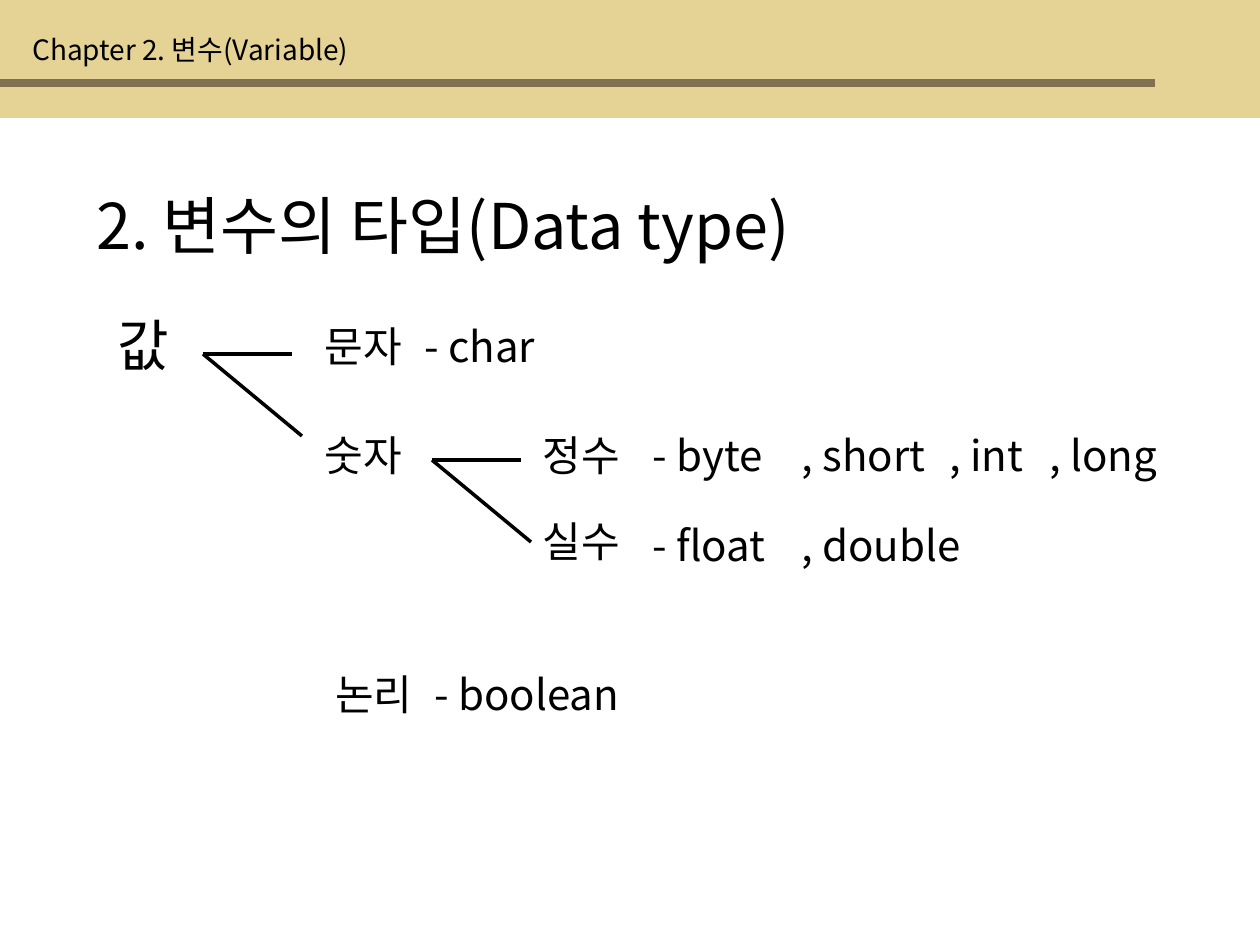
from lxml.etree import SubElement
from pptx import Presentation
from pptx.dml.color import RGBColor
from pptx.enum.shapes import MSO_CONNECTOR as Connector, MSO_SHAPE as Shape
from pptx.enum.text import MSO_AUTO_SIZE as AutoSize
from pptx.oxml.ns import qn
from pptx.util import Emu, Pt

PIXELS_PER_INCH = 126
FONT = "Noto Sans CJK KR"
COLORS = {"header": "E4D394", "bar": "817051", "ink": "000000"}

HEADINGS = [
    ("Chapter 2. 변수(Variable)", 20, 26, 500, 47, 16),
    ("2. 변수의 타입(Data type)", 84, 180, 1022, 88, 36),
    ("값", 105, 304, 79, 81, 32),
]
LABEL_SIZE, LABEL_HEIGHT = 24, 63
LABEL_ROWS = [
    (314, [("문자", 312, 118), ("- char", 412, 169)]),
    (423, [("숫자", 312, 118), ("정수", 530, 118), ("- byte", 640, 169),
           (", short", 789, 198), (", int", 937, 129), (", long", 1037, 149)]),
    (509, [("실수", 530, 118)]),
    (513, [("- float", 640, 169), (", double", 789, 198)]),
    (662, [("논리", 323, 118), ("- boolean", 422, 248)]),
]
BRANCH_STARTS = [(203, 354), (432, 460)]
BRANCH_STEPS = [(89, 0), (99, 82)]


def px(length):
    return Emu(round(length * 914400 / PIXELS_PER_INCH))


def color(name):
    return RGBColor.from_string(COLORS[name])


def add_band(slide, left, top, width, height, fill):
    shape = slide.shapes.add_shape(Shape.RECTANGLE, *map(px, (left, top, width, height)))
    shape.shadow.inherit = False
    shape.fill.solid()
    shape.fill.fore_color.rgb = color(fill)
    shape.line.fill.background()


def add_text(slide, text, left, top, width, height, size):
    box = slide.shapes.add_textbox(*map(px, (left, top, width, height)))
    frame = box.text_frame
    for name, value in {"word_wrap": True, "auto_size": AutoSize.SHAPE_TO_FIT_TEXT}.items():
        setattr(frame, name, value)
    run = frame.paragraphs[0].add_run()
    run.text = text
    for name, value in {"size": Pt(size), "name": FONT}.items():
        setattr(run.font, name, value)
    run.font.color.rgb = color("ink")
    SubElement(run._r.get_or_add_rPr(), qn("a:ea"), typeface=FONT)


def add_line(slide, start, end):
    line = slide.shapes.add_connector(Connector.STRAIGHT, *map(px, start + end))
    line.line.color.rgb = color("ink")
    line.line.width = Pt(2)
    SubElement(line._element.spPr, qn("a:effectLst"))


def add_branch(slide, x, y):
    for across, down in BRANCH_STEPS:
        add_line(slide, (x, y), (x + across, y + down))


def main():
    presentation = Presentation()
    presentation.slide_width, presentation.slide_height = px(1260), px(945)
    slide = presentation.slides.add_slide(presentation.slide_layouts[6])

    add_band(slide, 0, 0, 1260, 118, "header")
    add_band(slide, 0, 79, 1155, 8, "bar")
    for heading in HEADINGS:
        add_text(slide, *heading)
    for start in BRANCH_STARTS:
        add_branch(slide, *start)
    for top, labels in LABEL_ROWS:
        for text, left, width in labels:
            add_text(slide, text, left, top, width, LABEL_HEIGHT, LABEL_SIZE)

    presentation.save("out.pptx")


if __name__ == "__main__":
    main()
